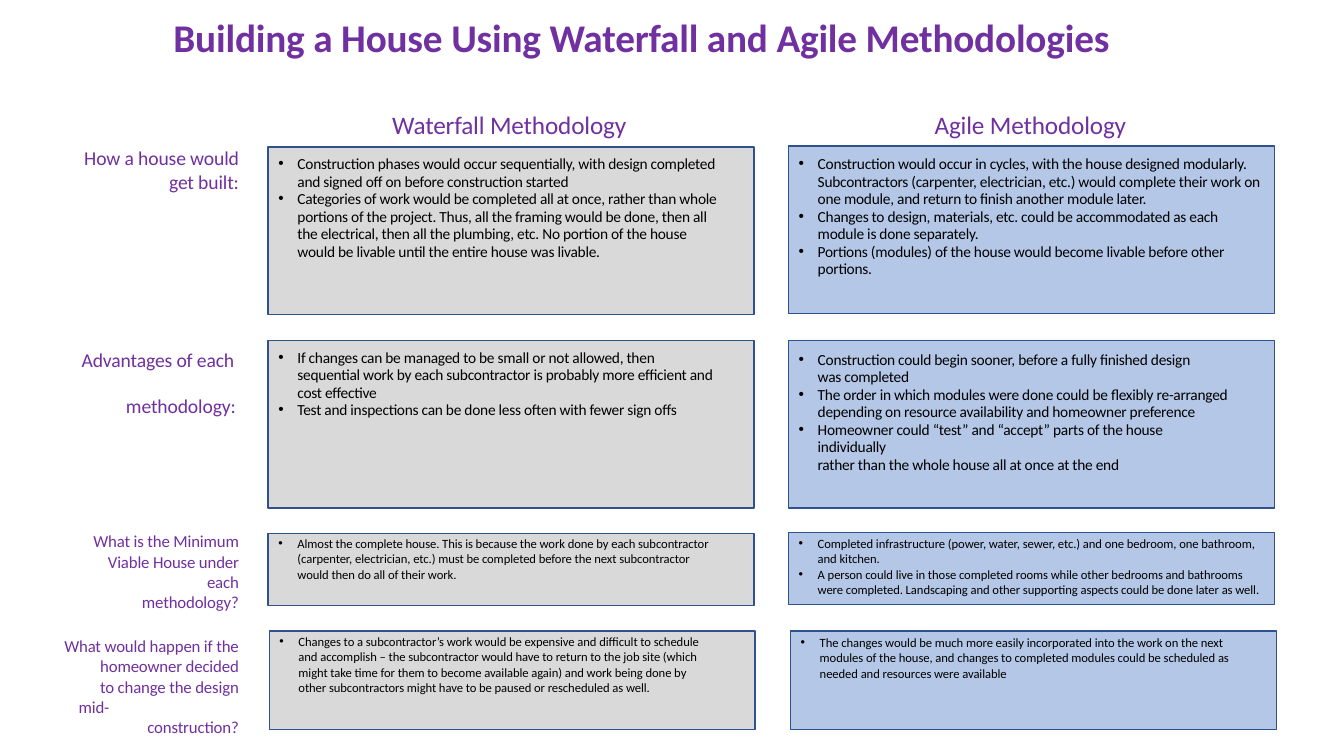
from pptx import Presentation
from pptx.dml.color import RGBColor
from pptx.enum.shapes import MSO_SHAPE
from pptx.enum.text import MSO_ANCHOR, MSO_AUTO_SIZE, PP_ALIGN
from pptx.oxml.ns import qn
from pptx.util import Emu, Pt
from lxml import etree

PX = 9144  # EMU in one px, 100 px to the inch
FONT = "Calibri"
PURPLE = RGBColor(0x70, 0x30, 0xA0)
BLACK = RGBColor(0x00, 0x00, 0x00)
GREY = RGBColor(0xD9, 0xD9, 0xD9)
LIGHT_BLUE = RGBColor(0xB4, 0xC7, 0xE7)
NAVY = RGBColor(0x2F, 0x52, 0x8F)

TITLE = "Building a House Using Waterfall and Agile Methodologies"

# Column headings: text, left, width
HEADINGS = [("Waterfall Methodology", 388, 238), ("Agile Methodology", 926, 196)]

# Row questions: place, text size, then paragraphs with their own format
QUESTIONS = [
    ((79, 144, 158, 50), 14, [
        ("How a house would", {"align": PP_ALIGN.RIGHT}),
        ("get built:", {"align": PP_ALIGN.RIGHT})]),
    ((80, 344, 157, 74), 14, [
        ("Advantages of each", {"left": 1}),
        ("methodology:", {"left": 45, "before": 16})]),
    ((66, 526, 171, 83), 12, [
        ("What is the Minimum Viable House under each",
         {"align": PP_ALIGN.RIGHT, "left": 15}),
        ("methodology?", {"align": PP_ALIGN.RIGHT})]),
    ((58, 630, 179, 102), 12, [
        ("What would happen if the", {"align": PP_ALIGN.RIGHT}),
        ("homeowner decided", {"align": PP_ALIGN.RIGHT}),
        ("to change the design", {"align": PP_ALIGN.RIGHT}),
        ("mid-", {"left": 20}),
        ("construction?", {"align": PP_ALIGN.RIGHT})]),
]

# Answers: place, fill, top inset, text size, then bullets with right margin
ANSWERS = [
    ((266, 146, 482, 166), GREY, 8, 11, [
        ("Construction phases would occur sequentially, with design completed "
         "and signed off on before construction started", 30),
        ("Categories of work would be completed all at once, rather than whole "
         "portions of the project. Thus, all the framing would be done, then all "
         "the electrical, then all the plumbing, etc. No portion of the house "
         "would be livable until the entire house was livable.", 30)]),
    ((782, 145, 482, 166), LIGHT_BLUE, 9, 11, [
        ("Construction would occur in cycles, with the house designed modularly. "
         "Subcontractors (carpenter, electrician, etc.) would complete their work "
         "on one module, and return to finish another module later.", 12),
        ("Changes to design, materials, etc. could be accommodated as each "
         "module is done separately.", 12),
        ("Portions (modules) of the house would become livable before other "
         "portions.", 12)]),
    ((266, 338, 482, 166), GREY, 8, 11, [
        ("If changes can be managed to be small or not allowed, then sequential "
         "work by each subcontractor is probably more efficient and cost "
         "effective", 40),
        ("Test and inspections can be done less often with fewer sign offs", 40)]),
    ((782, 338, 482, 166), LIGHT_BLUE, 10, 11, [
        ("Construction could begin sooner, before a fully finished design was "
         "completed", 65),
        ("The order in which modules were done could be flexibly re-arranged "
         "depending on resource availability and homeowner preference", 35),
        ("Homeowner could “test” and “accept” parts of the house individually", 65),
        ("rather than the whole house all at once at the end", None)]),
    ((266, 529, 482, 72), GREY, 2, 9, [
        ("Almost the complete house. This is because the work done by each "
         "subcontractor (carpenter, electrician, etc.) must be completed before "
         "the next subcontractor would then do all of their work.", 35)]),
    ((782, 528, 482, 72), LIGHT_BLUE, 3, 9, [
        ("Completed infrastructure (power, water, sewer, etc.) and one bedroom, "
         "one bathroom, and kitchen.", 10),
        ("A person could live in those completed rooms while other bedrooms and "
         "bathrooms were completed. Landscaping and other supporting aspects "
         "could be done later as well.", 10)]),
    ((267, 626, 482, 98), GREY, 2, 9, [
        ("Changes to a subcontractor’s work would be expensive and difficult to "
         "schedule and accomplish – the subcontractor would have to return to the "
         "job site (which might take time for them to become available again) and "
         "work being done by other subcontractors might have to be paused or "
         "rescheduled as well.", 47)]),
    ((784, 626, 482, 98), LIGHT_BLUE, 3, 9, [
        ("The changes would be much more easily incorporated into the work on the "
         "next modules of the house, and changes to completed modules could be "
         "scheduled as needed and resources were available", 30)]),
]


def px(*lengths):
    return [Emu(length * PX) for length in lengths]


def prepare_frame(frame, top=1):
    """Wrap the text, start it at the top and drop the side insets."""
    frame.word_wrap = True
    frame.auto_size = MSO_AUTO_SIZE.NONE
    frame.vertical_anchor = MSO_ANCHOR.TOP
    frame.margin_left = frame.margin_right = frame.margin_bottom = 0
    frame.margin_top = Emu(top * PX)


def write(frame, text, first=False, size=14, color=PURPLE, bold=False, spacing=-0.1,
          align=PP_ALIGN.LEFT, left=0, right=0, hanging=0, line=None, before=0,
          bullet=None):
    """Put one formatted paragraph in the frame."""
    paragraph = frame.paragraphs[0] if first else frame.add_paragraph()
    paragraph.alignment = align
    paragraph.space_before = Pt(before)
    if line:
        paragraph.line_spacing = line
    run = paragraph.add_run()
    run.text = text
    run.font.name, run.font.size, run.font.bold = FONT, Pt(size), bold
    run.font.color.rgb = color
    run._r.get_or_add_rPr().set("spc", str(round(spacing * 100)))
    properties = paragraph._p.get_or_add_pPr()
    for key, length in (("marL", left), ("marR", right), ("indent", -hanging)):
        properties.set(key, str(length * PX))
    if bullet:
        etree.SubElement(properties, qn("a:buFont")).set("typeface", "Arial")
        etree.SubElement(properties, qn("a:buChar")).set("char", bullet)


def add_title(slide):
    title = slide.shapes.title
    title.left, title.top, title.width, title.height = px(172, 12, 960, 49)
    prepare_frame(title.text_frame)
    write(title.text_frame, TITLE, first=True, size=28, bold=True)


def add_label(slide, place, size, paragraphs):
    frame = slide.shapes.add_textbox(*px(*place)).text_frame
    prepare_frame(frame)
    for number, (text, layout) in enumerate(paragraphs):
        write(frame, text, first=number == 0, size=size, **layout)


def add_answer(slide, place, fill, top, size, bullets):
    box = slide.shapes.add_shape(MSO_SHAPE.RECTANGLE, *px(*place))
    box.shadow.inherit = False
    box.fill.solid()
    box.fill.fore_color.rgb = fill
    box.line.color.rgb = NAVY
    box.line.width = Pt(1)
    prepare_frame(box.text_frame, top)
    large = size == 11
    for number, (text, right) in enumerate(bullets):
        # A line without a right margin continues the bullet above it
        continued = right is None
        write(box.text_frame, text, first=number == 0, size=size, color=BLACK,
              spacing=-0.2 if large else -0.06, line=Pt(12.5 if large else 11.1),
              left=29, right=right or 0, hanging=0 if continued else 19,
              bullet=None if continued else "•")


def main():
    presentation = Presentation()
    presentation.slide_width, presentation.slide_height = px(1333, 750)
    slide = presentation.slides.add_slide(presentation.slide_layouts[5])

    add_title(slide)
    for text, left, width in HEADINGS:
        add_label(slide, (left, 107, width, 33), 18, [(text, {"left": 1})])
    for question in QUESTIONS:
        add_label(slide, *question)
    for answer in ANSWERS:
        add_answer(slide, *answer)

    presentation.save("out.pptx")


if __name__ == "__main__":
    main()
